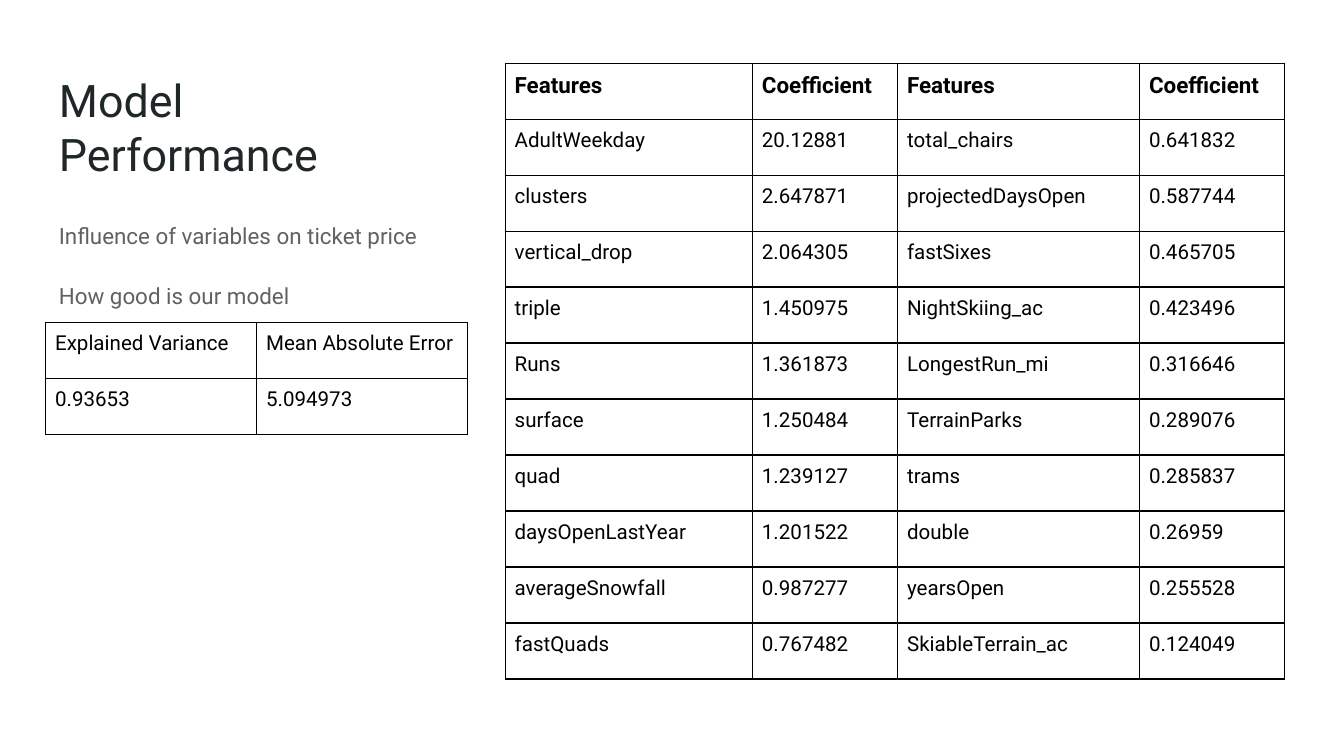
"""Build the model performance slide with its two tables."""
from lxml.etree import SubElement
from pptx import Presentation
from pptx.dml.color import RGBColor
from pptx.enum.text import MSO_ANCHOR
from pptx.oxml.ns import qn
from pptx.util import Inches, Pt

FONT = "Roboto"
INK = "000000"
ROW = 5 / 12

SCORES = [
    ("Explained Variance", "Mean Absolute Error"),
    ("0.93653", "5.094973"),
]
WEIGHTS = [
    ("Features", "Coefficient", "Features", "Coefficient"),
    ("AdultWeekday", "20.12881", "total_chairs", "0.641832"),
    ("clusters", "2.647871", "projectedDaysOpen", "0.587744"),
    ("vertical_drop", "2.064305", "fastSixes", "0.465705"),
    ("triple", "1.450975", "NightSkiing_ac", "0.423496"),
    ("Runs", "1.361873", "LongestRun_mi", "0.316646"),
    ("surface", "1.250484", "TerrainParks", "0.289076"),
    ("quad", "1.239127", "trams", "0.285837"),
    ("daysOpenLastYear", "1.201522", "double", "0.26959"),
    ("averageSnowfall", "0.987277", "yearsOpen", "0.255528"),
    ("fastQuads", "0.767482", "SkiableTerrain_ac", "0.124049"),
]


def color(code):
    """Turn a hex string into a colour."""
    return RGBColor.from_string(code)


def add_run(para, text, size, code, bold=False):
    """Add one styled run to a paragraph."""
    run = para.add_run()
    run.text = text
    run.font.name = FONT
    run.font.size = Pt(size)
    run.font.bold = bold
    run.font.color.rgb = color(code)


def set_pad(item, pad):
    """Give a cell or text frame the same margin on all sides."""
    item.margin_left = item.margin_right = Inches(pad)
    item.margin_top = item.margin_bottom = Inches(pad)


def add_box(slide, left, top, width, height, anchor):
    """Add a wrapping text box and return its text frame."""
    box = slide.shapes.add_textbox(
        Inches(left), Inches(top), Inches(width), Inches(height))
    frame = box.text_frame
    frame.word_wrap = True
    frame.vertical_anchor = anchor
    set_pad(frame, 0.1)
    return frame


def add_title(slide, text):
    """Add the slide title."""
    frame = add_box(slide, 0.34, 0.61, 3.07, 0.83, MSO_ANCHOR.BOTTOM)
    add_run(frame.paragraphs[0], text, 24, "202729")


def add_body(slide, lines):
    """Add the spaced lines under the title."""
    frame = add_box(slide, 0.34, 1.52, 3.07, 3.48, MSO_ANCHOR.TOP)
    for i, line in enumerate(lines):
        para = frame.add_paragraph() if i else frame.paragraphs[0]
        para.line_spacing = 1.15
        if i:
            para.space_before = para.space_after = Pt(16)
        add_run(para, line, 12, "616161")


def add_edges(cell):
    """Draw a thin line on each side of a cell."""
    props = cell._tc.get_or_add_tcPr()
    for side in ("a:lnL", "a:lnR", "a:lnT", "a:lnB"):
        line = SubElement(props, qn(side), w=str(Pt(0.75)))
        fill = SubElement(line, qn("a:solidFill"))
        SubElement(fill, qn("a:srgbClr"), val=INK)


def add_grid(slide, left, top, widths, rows, head=False):
    """Add a ruled table, with a bold first row if head is set."""
    grid = slide.shapes.add_table(
        len(rows), len(widths), Inches(left), Inches(top),
        Inches(sum(widths)), Inches(ROW * len(rows))).table
    grid.first_row = grid.horz_banding = False
    for col, width in zip(grid.columns, widths):
        col.width = Inches(width)
    for r, row in enumerate(rows):
        bold = head and r == 0
        for c, text in enumerate(row):
            cell = grid.cell(r, c)
            set_pad(cell, 0.07)
            add_edges(cell)
            cell.fill.background()
            add_run(cell.text_frame.paragraphs[0], text,
                    12 if bold else 11, INK, bold)


def main():
    """Build and save the slide."""
    deck = Presentation()
    deck.slide_width = Inches(10)
    deck.slide_height = Inches(10 * 9 / 16)
    slide = deck.slides.add_slide(deck.slide_layouts[6])
    add_title(slide, "Model Performance")
    add_body(slide, ["Influence of variables on ticket price",
                     "How good is our model"])
    add_grid(slide, 0.34, 2.4, [1.57, 1.57], SCORES)
    add_grid(slide, 3.76, 0.47, [1.84, 1.08, 1.8, 1.08], WEIGHTS, head=True)
    deck.save("out.pptx")


if __name__ == "__main__":
    main()
